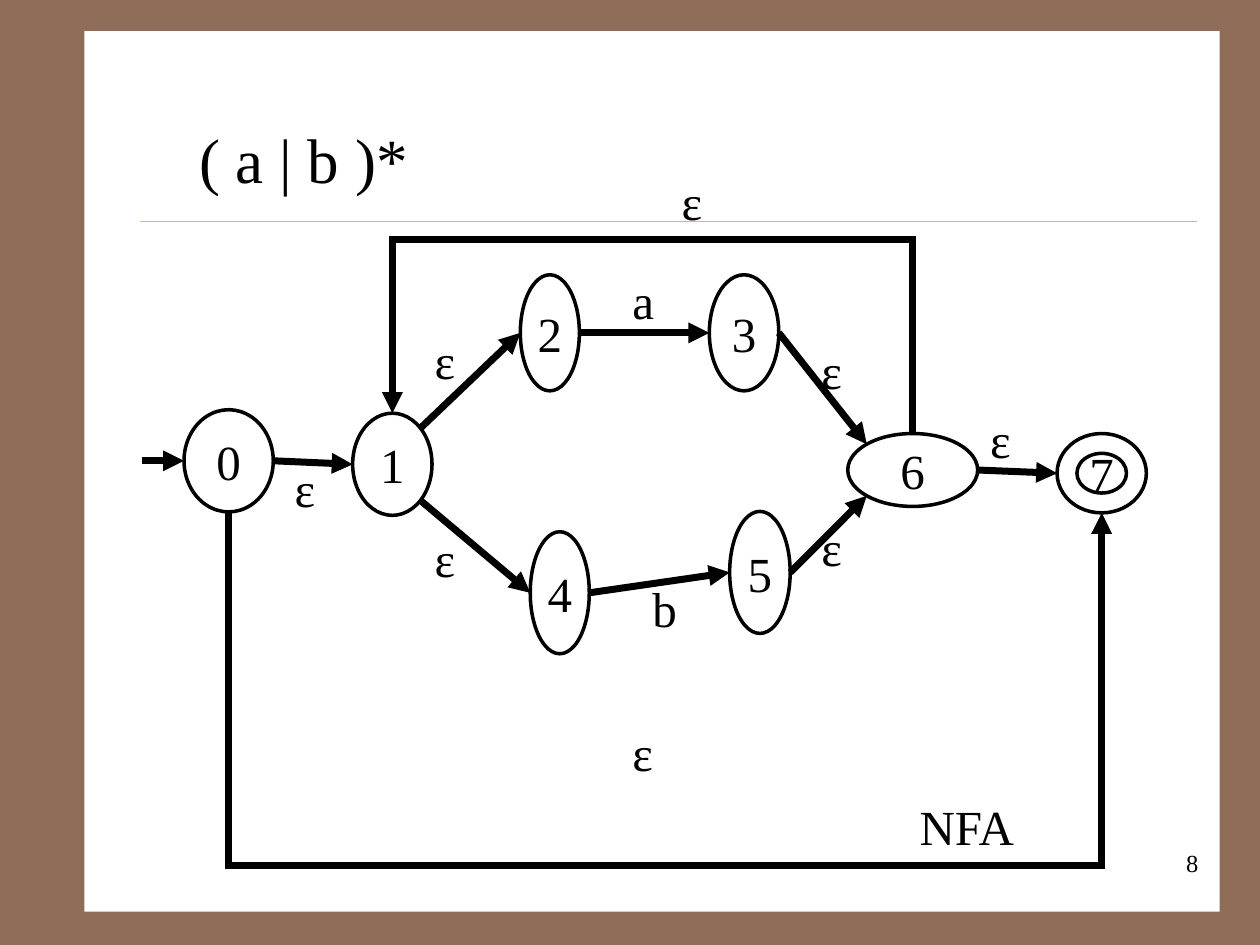
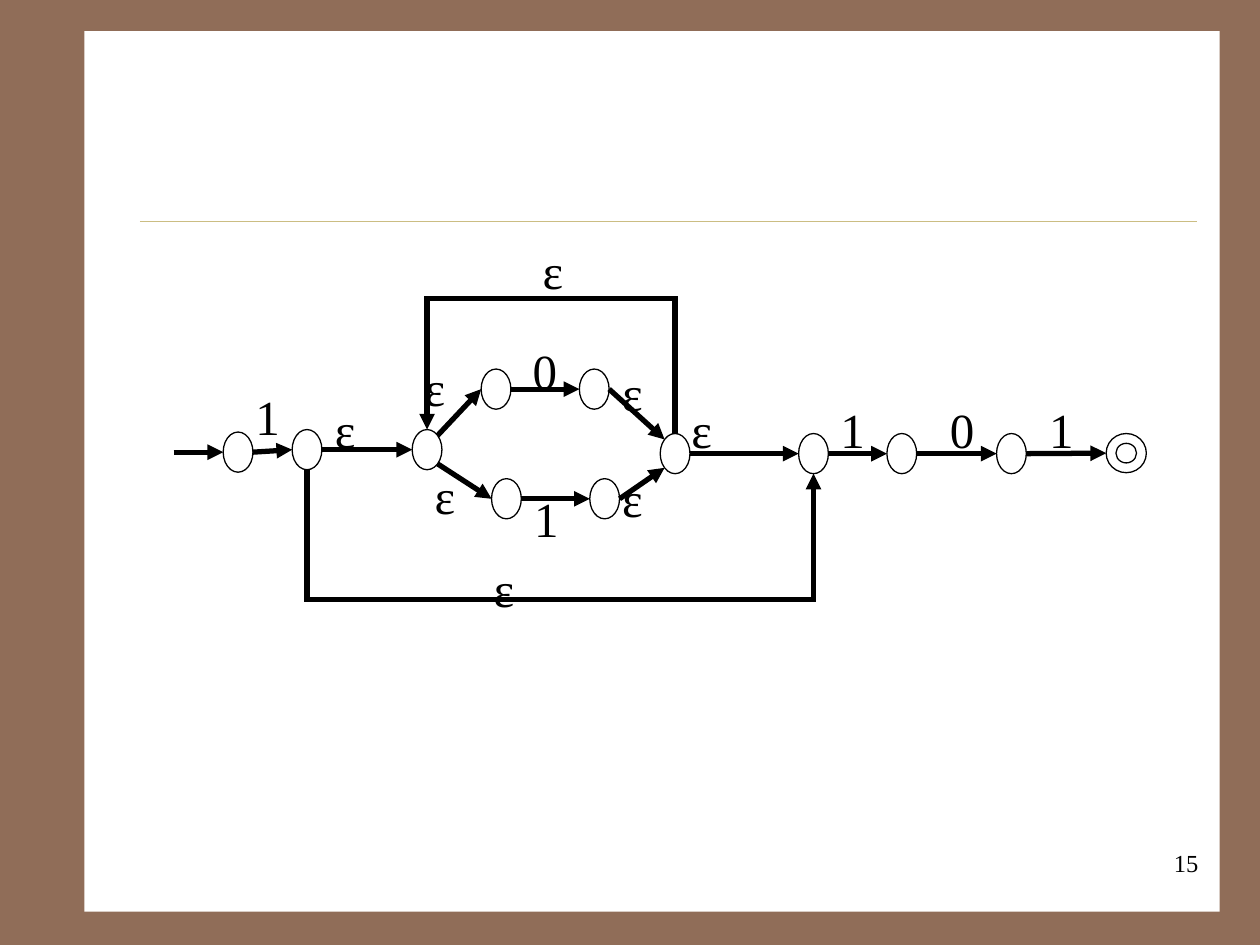
"""Builds two slides with automata for regular expressions."""
from math import cos, radians, sin

from lxml.etree import SubElement
from pptx import Presentation
from pptx.dml.color import RGBColor
from pptx.enum.shapes import MSO_CONNECTOR, MSO_SHAPE
from pptx.enum.text import MSO_ANCHOR, PP_ALIGN
from pptx.oxml.ns import qn
from pptx.util import Cm, Pt

BROWN = RGBColor(0x90, 0x6D, 0x58)
WHITE = RGBColor(0xFF, 0xFF, 0xFF)
SAND = RGBColor(0xCB, 0xBD, 0x83)
BLACK = RGBColor(0x00, 0x00, 0x00)
FONT = "Times New Roman"
TITLE_ONLY, BLANK = 5, 6
ANGLES = {"E": 0, "NE": 45, "N": 90, "NW": 135, "W": 180, "SW": 225, "S": 270, "SE": 315}
LABEL_SIZE = (1.19, 1.45)
SMALL_STATE = (0.6, 0.81)

STAR_STATES = {
    "0": (3.71, 8.26, 1.8, 2.06),
    "1": (7.11, 8.33, 1.6, 2.06),
    "2": (10.49, 5.54, 1.19, 2.34),
    "3": (14.3, 5.54, 1.4, 2.34),
    "4": (10.69, 10.72, 1.19, 2.46),
    "5": (14.71, 10.31, 1.22, 2.46),
    "6": (17.09, 8.74, 2.62, 1.47),
    "7": (21.31, 8.74, 1.8, 1.6),
}
STAR_ARROWS = [
    ("0", "E", "1", "W"), ("1", "NE", "2", "W"), ("1", "SE", "4", "W"),
    ("2", "E", "3", "W"), ("4", "E", "5", "W"), ("3", "E", "6", "NW"),
    ("5", "E", "6", "SW"), ("6", "E", "7", "W"),
]
STAR_LOOPS = [("6", "1", "N", 4.83), ("0", "7", "S", 17.45)]
STAR_LABELS = {
    "ε": [(12.5, 14.45), (16.31, 10.31), (5.69, 9.12), (16.31, 6.73),
          (8.51, 6.53), (8.51, 10.52), (13.49, 3.33), (19.71, 8.13)],
    "a": [(12.5, 5.33)],
    "b": [(12.9, 11.53)],
}

CHAIN_PLACES = {
    "start": (4.5, 8.71), "split": (5.89, 8.66), "fork": (8.31, 8.66),
    "zero in": (9.7, 7.44), "zero out": (11.68, 7.44),
    "one in": (9.91, 9.65), "one out": (11.89, 9.65),
    "join": (13.31, 8.74), "suffix": (16.1, 8.74),
    "after 1": (17.88, 8.74), "after 10": (20.09, 8.74),
}
CHAIN_STATES = {name: place + SMALL_STATE for name, place in CHAIN_PLACES.items()}
CHAIN_STATES["final"] = (22.3, 8.74, 0.81, 0.79)
CHAIN_ARROWS = [
    ("start", "E", "split", "W"), ("split", "E", "fork", "W"),
    ("fork", "NE", "zero in", "W"), ("fork", "SE", "one in", "W"),
    ("zero in", "E", "zero out", "W"), ("one in", "E", "one out", "W"),
    ("zero out", "E", "join", "NW"), ("one out", "E", "join", "SW"),
    ("join", "E", "suffix", "W"), ("suffix", "E", "after 1", "W"),
    ("after 1", "E", "after 10", "W"), ("after 10", "E", "final", "W"),
]
CHAIN_LOOPS = [("join", "fork", "N", 6.02), ("split", "suffix", "S", 12.09)]
CHAIN_LABELS = {
    "ε": [(8.51, 9.25), (8.31, 7.09), (6.5, 7.92), (12.29, 9.32),
          (13.69, 7.92), (12.29, 7.19), (10.69, 4.72), (9.7, 11.13)],
    "0": [(10.49, 6.73), (18.9, 7.92)],
    "1": [(20.9, 7.92), (16.69, 7.92), (10.52, 9.73), (4.9, 7.67)],
}


def write_text(text_frame, text, size=28, align=PP_ALIGN.LEFT, anchor=MSO_ANCHOR.TOP, wrap=True):
    """Put one formatted paragraph into a text frame."""
    text_frame.word_wrap = wrap
    text_frame.vertical_anchor = anchor
    paragraph = text_frame.paragraphs[0]
    paragraph.text = text
    paragraph.alignment = align
    paragraph.font.name = FONT
    paragraph.font.size = Pt(size)
    paragraph.font.color.rgb = BLACK


def add_label(slide, text, left, top, width, height, **text_format):
    """Add a text box with one formatted paragraph."""
    box = slide.shapes.add_textbox(Cm(left), Cm(top), Cm(width), Cm(height))
    write_text(box.text_frame, text, **text_format)


def set_line(shape, width, color=BLACK, arrow=False):
    """Set the outline and, if wanted, an arrowhead at its end."""
    shape.line.color.rgb = color
    shape.line.width = Pt(width)
    if arrow:
        line = shape.element.spPr.find(qn("a:ln"))
        SubElement(line, qn("a:miter"), lim="800000")
        SubElement(line, qn("a:tailEnd"), type="triangle")


def add_line(slide, start, end, width, color=BLACK, arrow=False):
    """Add a straight line between two points in centimetres."""
    ends = [Cm(value) for value in (*start, *end)]
    connector = slide.shapes.add_connector(MSO_CONNECTOR.STRAIGHT, *ends)
    set_line(connector, width, color, arrow)
    SubElement(connector.element.spPr, qn("a:effectLst"))
    return connector


def add_loop(slide, start, end, rail, width):
    """Add a square-cornered arrow that runs along a rail above or below."""
    points = [start, (start[0], rail), (end[0], rail), end]
    points = [(Cm(x), Cm(y)) for x, y in points]
    builder = slide.shapes.build_freeform(*points[0], scale=1.0)
    builder.add_line_segments(points[1:], close=False)
    shape = builder.convert_to_shape()
    shape.shadow.inherit = False
    shape.fill.background()
    set_line(shape, width, arrow=True)


def add_state(slide, box, width, text="", final=False):
    """Add a state, drawn as a ring when it is final."""
    kind = MSO_SHAPE.DONUT if final else MSO_SHAPE.OVAL
    shape = slide.shapes.add_shape(kind, *[Cm(value) for value in box])
    if final:
        shape.adjustments[0] = 0.25
    shape.shadow.inherit = False
    shape.fill.background()
    set_line(shape, width)
    if text:
        write_text(shape.text_frame, text, align=PP_ALIGN.CENTER,
                   anchor=MSO_ANCHOR.MIDDLE, wrap=False)


def edge_point(box, side):
    """Return the point of an ellipse in a compass direction."""
    left, top, width, height = box
    angle = radians(ANGLES[side])
    return left + width / 2 * (1 + cos(angle)), top + height / 2 * (1 - sin(angle))


def add_automaton(slide, states, arrows, loops, labels, state_line, arrow_line,
                  entry_length, named):
    """Draw states, arrows, loops and transition labels."""
    names = list(states)
    for name, box in states.items():
        add_state(slide, box, state_line, name if named else "", name == names[-1])
    entry = edge_point(states[names[0]], "W")
    add_line(slide, (entry[0] - entry_length, entry[1]), entry, arrow_line, arrow=True)
    for source, source_side, target, target_side in arrows:
        add_line(slide, edge_point(states[source], source_side),
                 edge_point(states[target], target_side), arrow_line, arrow=True)
    for source, target, side, rail in loops:
        add_loop(slide, edge_point(states[source], side),
                 edge_point(states[target], side), rail, arrow_line)
    for text, places in labels.items():
        for place in places:
            add_label(slide, text, *place, *LABEL_SIZE)


def add_page_number(slide, number):
    """Add the page number at the lower right."""
    add_label(slide, number, 19.13, 16.97, 5.28, 1.27, size=14, align=PP_ALIGN.RIGHT)


def style_master(presentation, slide):
    """Give the master its background, white panel and title rule."""
    master = presentation.slide_master
    master.background.fill.solid()
    master.background.fill.fore_color.rgb = BROWN
    panel = slide.shapes.add_shape(MSO_SHAPE.RECTANGLE, Cm(1.7), Cm(0.63), Cm(22.89), Cm(17.75))
    panel.shadow.inherit = False
    panel.fill.solid()
    panel.fill.fore_color.rgb = WHITE
    panel.line.fill.background()
    rule = add_line(slide, (2.82, 4.45), (24.13, 4.45), 0.25, SAND)
    for position, shape in enumerate((panel, rule), start=2):
        master.shapes.element.insert(position, shape.element)


def add_star_slide(presentation):
    """Add the slide with the automaton for ( a | b )*."""
    slide = presentation.slides.add_slide(presentation.slide_layouts[TITLE_ONLY])
    style_master(presentation, slide)
    title = slide.shapes.title
    title.left, title.top, title.width, title.height = Cm(3.76), Cm(2.31), Cm(5.13), Cm(2.01)
    write_text(title.text_frame, "( a | b )*", size=36)
    add_automaton(slide, STAR_STATES, STAR_ARROWS, STAR_LOOPS, STAR_LABELS,
                  state_line=2, arrow_line=4, entry_length=0.84, named=True)
    add_label(slide, "NFA", 18.29, 15.93, 3.61, 1.45)
    add_page_number(slide, "8")


def add_chain_slide(presentation):
    """Add the slide with the automaton of unnamed states."""
    slide = presentation.slides.add_slide(presentation.slide_layouts[BLANK])
    add_automaton(slide, CHAIN_STATES, CHAIN_ARROWS, CHAIN_LOOPS, CHAIN_LABELS,
                  state_line=0.75, arrow_line=3, entry_length=1, named=False)
    add_page_number(slide, "15")


def main():
    """Build and save the presentation."""
    presentation = Presentation()
    presentation.slide_width = Cm(25.4)
    presentation.slide_height = Cm(19.05)
    add_star_slide(presentation)
    add_chain_slide(presentation)
    presentation.save("out.pptx")


if __name__ == "__main__":
    main()
